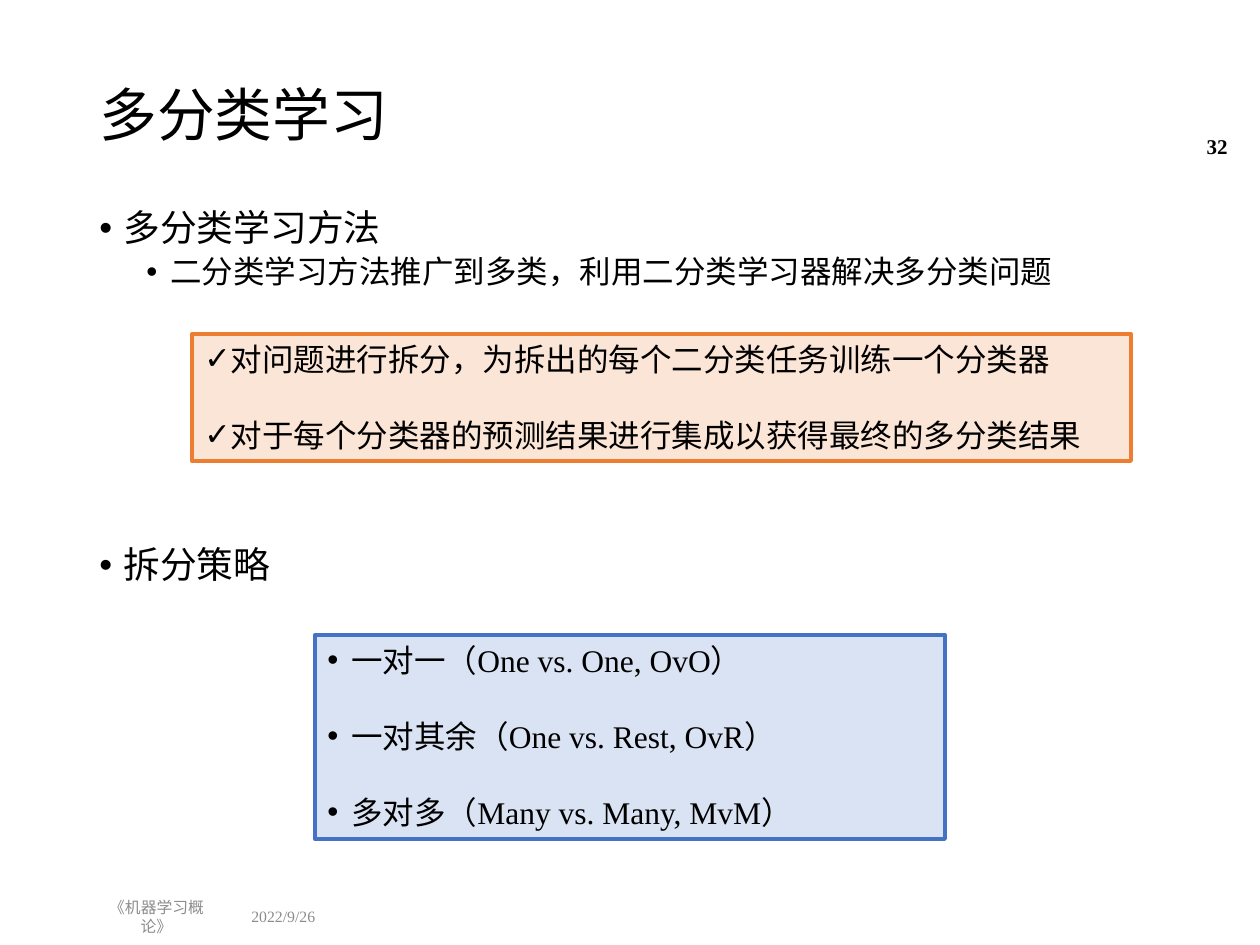
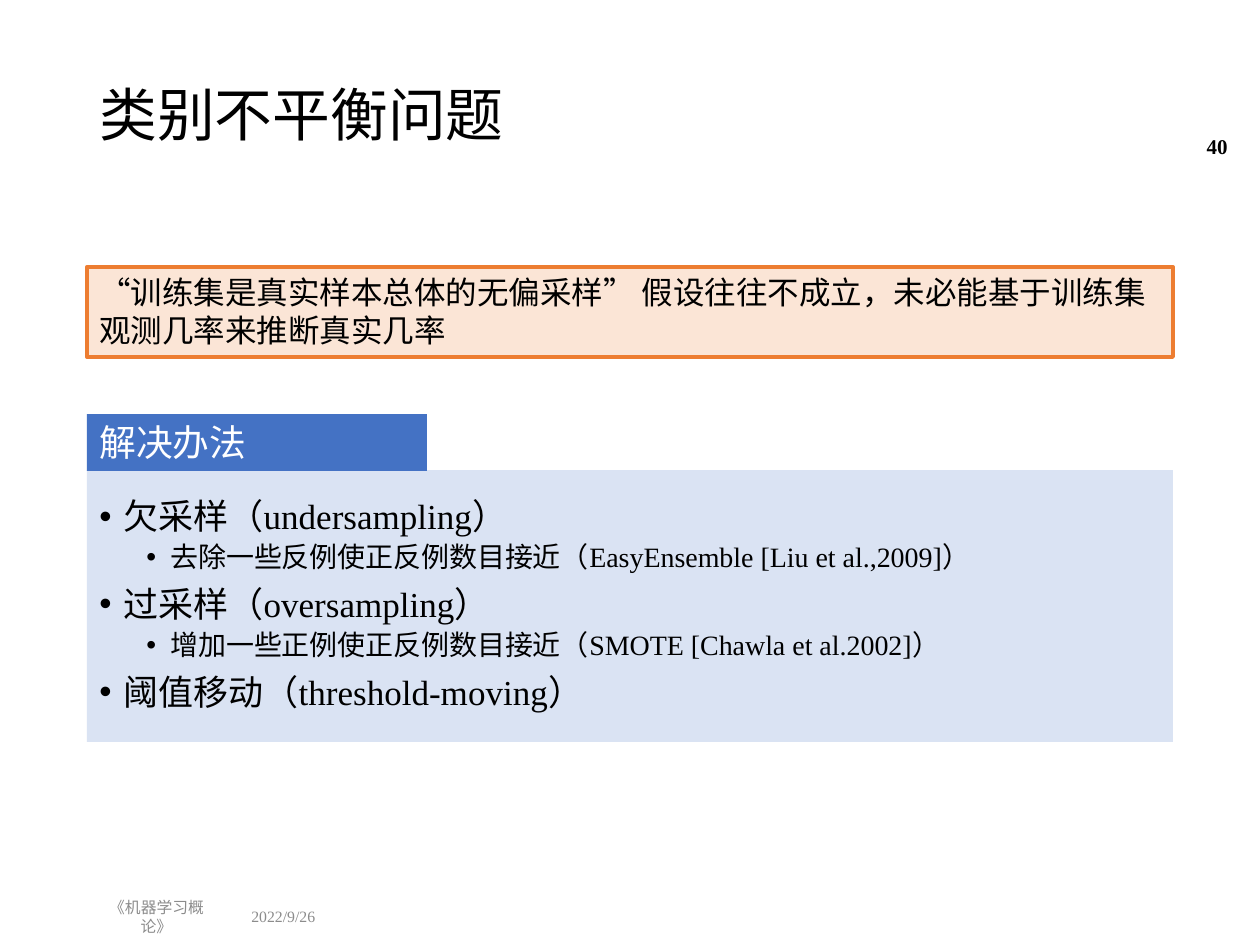
from lxml.etree import SubElement
from pptx import Presentation
from pptx.dml.color import RGBColor
from pptx.enum.lang import MSO_LANGUAGE_ID
from pptx.enum.shapes import MSO_SHAPE
from pptx.enum.text import MSO_ANCHOR, PP_ALIGN
from pptx.oxml.ns import qn
from pptx.util import Emu, Pt

EMU_PER_PX = 914400 / 126
FONT = "Times New Roman"
COLORS = {
    "text": "000000",
    "footer": "8C8C8C",
    "white": "FFFFFF",
    "blue": "4472C4",
    "pale_blue": "DAE3F3",
    "orange": "ED7D31",
    "pale_orange": "FBE5D6",
}
CONTENT_LEFT, CONTENT_WIDTH = 87, 1086
FOOTER_TOP, FOOTER_HEIGHT = 898, 37
HANGING_INDENT = 24
LEVEL_MARGINS = (24, 71)
LEVEL_SPACING = (7.5, 3.8)
BLANK_LINE = 21.7


def px(length):
    return Emu(round(length * EMU_PER_PX))


def color(name):
    return RGBColor.from_string(COLORS[name])


def add_bullet(paragraph, character, margin):
    properties = paragraph._p.get_or_add_pPr()
    properties.set("marL", str(px(margin)))
    properties.set("indent", str(-px(HANGING_INDENT)))
    SubElement(properties, qn("a:buFont")).set("typeface", "Arial")
    SubElement(properties, qn("a:buChar")).set("char", character)


def write_paragraph(frame, text, size=18, fill="text", bold=False, align=PP_ALIGN.LEFT,
                    line_spacing=1.0, space_before=0, bullet=None, margin=HANGING_INDENT):
    """Fill the empty first paragraph of the frame, or append a new one."""
    is_first = not frame.text
    paragraph = frame.paragraphs[0] if is_first else frame.add_paragraph()
    paragraph.alignment = align
    paragraph.line_spacing = line_spacing
    paragraph.space_before = Pt(0 if is_first else space_before)
    if bullet:
        add_bullet(paragraph, bullet, margin)
    run = paragraph.add_run()
    run.text = text
    run.font.name = FONT
    run.font.size = Pt(size)
    run.font.bold = bold
    run.font.color.rgb = color(fill)
    run.font.language_id = MSO_LANGUAGE_ID.SIMPLIFIED_CHINESE


def add_text_box(slide, left, top, width, height, anchor=MSO_ANCHOR.MIDDLE):
    box = slide.shapes.add_textbox(px(left), px(top), px(width), px(height))
    box.text_frame.word_wrap = True
    box.text_frame.vertical_anchor = anchor
    return box.text_frame


def add_panel(slide, left, top, width, height, fill, line=None, anchor=MSO_ANCHOR.TOP):
    panel = slide.shapes.add_shape(MSO_SHAPE.RECTANGLE, px(left), px(top), px(width), px(height))
    panel.shadow.inherit = False
    panel.fill.solid()
    panel.fill.fore_color.rgb = color(fill)
    if line:
        panel.line.color.rgb = color(line)
        panel.line.width = Pt(2.25)
    else:
        panel.line.fill.background()
    panel.text_frame.word_wrap = True
    panel.text_frame.vertical_anchor = anchor
    return panel.text_frame


def write_outline(frame, items, sizes):
    """Write (level, text, extra space before) items as a two-level bullet list."""
    for level, text, extra in items:
        write_paragraph(frame, text, size=sizes[level], line_spacing=0.9, bullet="•",
                        space_before=LEVEL_SPACING[level] + extra,
                        margin=LEVEL_MARGINS[level])


def write_spaced_list(frame, items, bullet):
    for text in items:
        write_paragraph(frame, text, bullet=bullet, space_before=BLANK_LINE)


def add_base_slide(presentation, title, number):
    """Add a slide with its title, page number and footers."""
    slide = presentation.slides.add_slide(presentation.slide_layouts[6])
    write_paragraph(add_text_box(slide, CONTENT_LEFT, 50, CONTENT_WIDTH, 135),
                    title, size=33, line_spacing=0.9)
    write_paragraph(add_text_box(slide, 239, FOOTER_TOP, 115, FOOTER_HEIGHT),
                    "2022/9/26", size=9, fill="footer")
    write_paragraph(add_text_box(slide, CONTENT_LEFT, FOOTER_TOP, 139, FOOTER_HEIGHT),
                    "《机器学习概论》", size=9, fill="footer", align=PP_ALIGN.CENTER)
    write_paragraph(add_text_box(slide, 1153, 121, 87, 50),
                    str(number), size=12, bold=True, align=PP_ALIGN.RIGHT)
    return slide


def add_multiclass_slide(presentation):
    slide = add_base_slide(presentation, "多分类学习", 32)
    body = add_text_box(slide, CONTENT_LEFT, 204, CONTENT_WIDTH, 679, anchor=MSO_ANCHOR.TOP)
    write_outline(body, [
        (0, "多分类学习方法", 0),
        (1, "二分类学习方法推广到多类，利用二分类学习器解决多分类问题", 0),
        (0, "拆分策略", 139),
    ], sizes=(21, 18))
    steps = add_panel(slide, 192, 334, 939, 127, "pale_orange", line="orange")
    write_spaced_list(steps, [
        "对问题进行拆分，为拆出的每个二分类任务训练一个分类器",
        "对于每个分类器的预测结果进行集成以获得最终的多分类结果",
    ], bullet="✓")
    strategies = add_panel(slide, 315, 635, 630, 204, "pale_blue", line="blue")
    write_spaced_list(strategies, [
        "一对一（One vs. One, OvO）",
        "一对其余（One vs. Rest, OvR）",
        "多对多（Many vs. Many, MvM）",
    ], bullet="•")


def add_imbalance_slide(presentation):
    slide = add_base_slide(presentation, "类别不平衡问题", 40)
    solutions = add_panel(slide, CONTENT_LEFT, 470, CONTENT_WIDTH, 272, "pale_blue",
                          anchor=MSO_ANCHOR.MIDDLE)
    write_outline(solutions, [
        (0, "欠采样（undersampling）", 0),
        (1, "去除一些反例使正反例数目接近（EasyEnsemble [Liu et al.,2009]）", 0),
        (0, "过采样（oversampling）", 0),
        (1, "增加一些正例使正反例数目接近（SMOTE [Chawla et al.2002]）", 0),
        (0, "阈值移动（threshold-moving）", 0),
    ], sizes=(20, 16))
    assumption = add_panel(slide, CONTENT_LEFT, 267, CONTENT_WIDTH, 90, "pale_orange",
                           line="orange")
    write_paragraph(assumption, "“训练集是真实样本总体的无偏采样” 假设往往不成立，"
                                "未必能基于训练集观测几率来推断真实几率")
    heading = add_panel(slide, CONTENT_LEFT, 414, 340, 57, "blue")
    write_paragraph(heading, "解决办法", size=21, fill="white")


def main():
    presentation = Presentation()
    presentation.slide_width = px(1260)
    presentation.slide_height = px(945)
    add_multiclass_slide(presentation)
    add_imbalance_slide(presentation)
    presentation.save("out.pptx")


if __name__ == "__main__":
    main()
